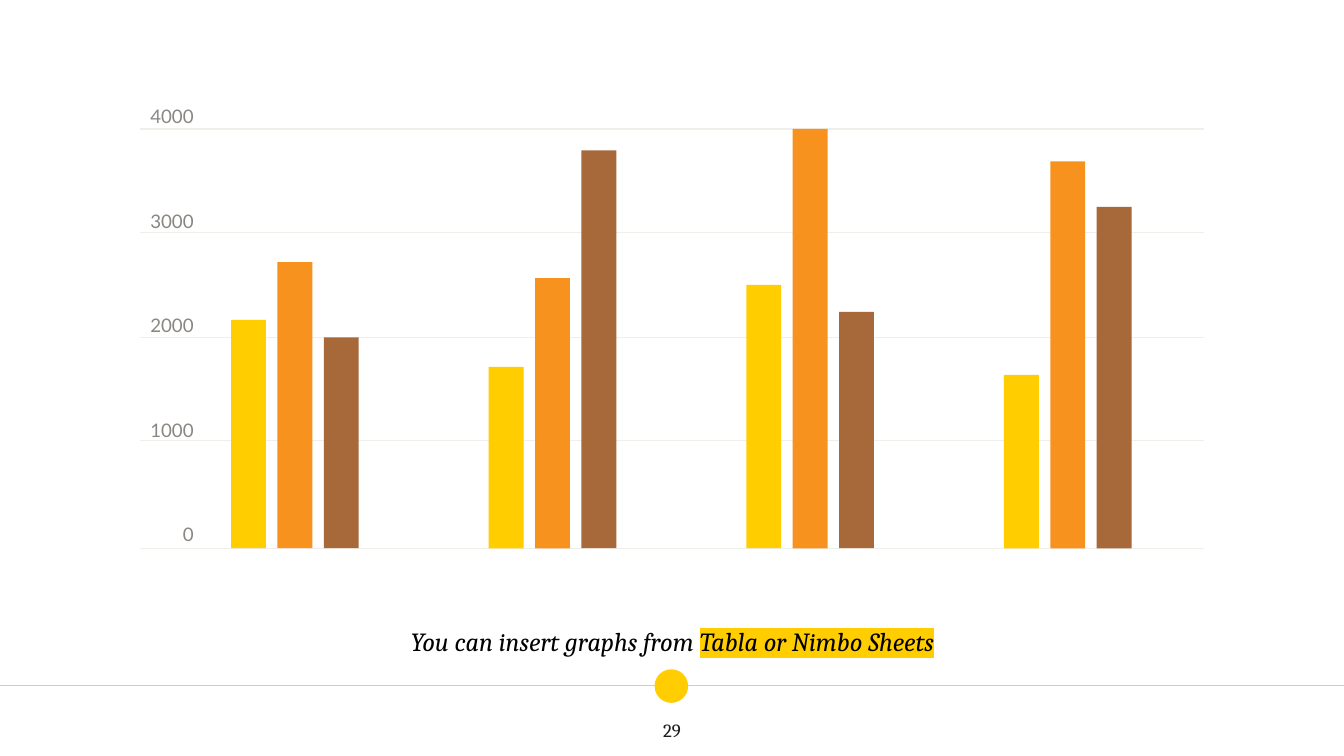
from lxml import etree
from pptx import Presentation
from pptx.dml.color import RGBColor
from pptx.enum import shapes, text
from pptx.oxml.ns import qn
from pptx.util import Inches, Pt

YELLOW = RGBColor(0xFF, 0xCD, 0x00)
ORANGE = RGBColor(0xF6, 0x92, 0x1D)
BROWN = RGBColor(0xA7, 0x69, 0x3A)
RULE_GRAY = RGBColor(0xCC, 0xCC, 0xCC)
GRID_GRAY = RGBColor(0xF0, 0xEE, 0xE9)
LABEL_GRAY = RGBColor(0x8A, 0x86, 0x82)
INK = RGBColor(0x1D, 0x1D, 0x1B)
BLACK = RGBColor(0, 0, 0)

# Widescreen, 16:9
presentation = Presentation()
presentation.slide_width = Inches(10)
presentation.slide_height = Inches(10 * 9 / 16)
slide = presentation.slides.add_slide(presentation.slide_layouts[2])
title = slide.shapes.title
title.element.getparent().remove(title.element)


def add_horizontal_line(left, right, y, color):
    line = slide.shapes.add_connector(
        shapes.MSO_CONNECTOR.STRAIGHT, Inches(left), Inches(y), Inches(right), Inches(y))
    line.line.color.rgb = color
    line.line.width = Pt(0.75)
    etree.SubElement(line.element.spPr, qn("a:effectLst"))


def add_filled_shape(kind, left, top, width, height, color):
    shape = slide.shapes.add_shape(
        kind, Inches(left), Inches(top), Inches(width), Inches(height))
    shape.shadow.inherit = False
    shape.fill.solid()
    shape.fill.fore_color.rgb = color
    shape.line.fill.background()


# Footer rule with its dot
add_horizontal_line(-0.01, 10.01, 5.1, RULE_GRAY)
add_filled_shape(shapes.MSO_SHAPE.OVAL, 4.87, 4.98, 0.25, 0.25, YELLOW)

# Caption
caption = slide.placeholders[1]
caption.left, caption.top = Inches(2.18), Inches(4.42)
caption.width, caption.height = Inches(5.65), Inches(0.57)
frame = caption.text_frame
frame.auto_size = text.MSO_AUTO_SIZE.NONE
frame.vertical_anchor = text.MSO_ANCHOR.BOTTOM
frame.margin_left = frame.margin_right = Inches(0.1)
frame.margin_top = frame.margin_bottom = Inches(0.1)
paragraph = frame.paragraphs[0]
paragraph.alignment = text.PP_ALIGN.CENTER
paragraph.space_before = Pt(0)
for words in ("You can insert graphs from ", "Tabla or Nimbo Sheets"):
    run = paragraph.add_run()
    run.text = words
    run.font.size = Pt(14)
    run.font.italic = True
    run.font.color.rgb = BLACK
    run.font.name = "Cambria"
highlight = etree.Element(qn("a:highlight"))
etree.SubElement(highlight, qn("a:srgbClr"), val=str(YELLOW))
run.font._element.find(qn("a:latin")).addprevious(highlight)

# Page number
page_number = slide.shapes.add_textbox(Inches(4.7), Inches(5.23), Inches(0.6), Inches(0.4))
frame = page_number.text_frame
frame.word_wrap = True
frame.vertical_anchor = text.MSO_ANCHOR.MIDDLE
frame.margin_top = frame.margin_bottom = Inches(0.1)
frame.text = "29"
paragraph = frame.paragraphs[0]
paragraph.alignment = text.PP_ALIGN.CENTER
run = paragraph.runs[0]
run.font.size = Pt(10)
run.font.name = "Cambria"
run.font.color.rgb = INK

# Gridlines and axis labels
BASELINE = 4.08
for y in (0.96, 1.73, 2.51, 3.28, BASELINE):
    add_horizontal_line(1.04, 8.96, y, GRID_GRAY)

axis = slide.shapes.add_textbox(Inches(1.04), Inches(0.78), Inches(0.4), Inches(3.31))
frame = axis.text_frame
frame.word_wrap = True
frame.margin_left = frame.margin_right = frame.margin_top = frame.margin_bottom = 0
frame.text = "\n".join(str(value) for value in range(4000, -1, -1000))
for index, paragraph in enumerate(frame.paragraphs):
    paragraph.alignment = text.PP_ALIGN.RIGHT
    if index:
        paragraph.space_before = Pt(44)
    run = paragraph.runs[0]
    run.font.size = Pt(10)
    run.font.name = "Lato"
    run.font.color.rgb = LABEL_GRAY

# Bars: heights in inches, one row per group
BAR_COLORS = (YELLOW, ORANGE, BROWN)
BAR_HEIGHTS = (
    (1.70, 2.13, 1.57),
    (1.35, 2.01, 2.96),
    (1.96, 3.12, 1.76),
    (1.29, 2.88, 2.54),
)
FIRST_BAR, LAST_GROUP, BAR_WIDTH = 1.72, 7.47, 0.26
GROUP_STEP = (LAST_GROUP - FIRST_BAR) / 3
BAR_STEP = 0.69 / 2
for group, heights in enumerate(BAR_HEIGHTS):
    for position, (height, color) in enumerate(zip(heights, BAR_COLORS)):
        left = FIRST_BAR + group * GROUP_STEP + position * BAR_STEP
        add_filled_shape(shapes.MSO_SHAPE.RECTANGLE, left, BASELINE - height,
                         BAR_WIDTH, height, color)

presentation.save("out.pptx")
